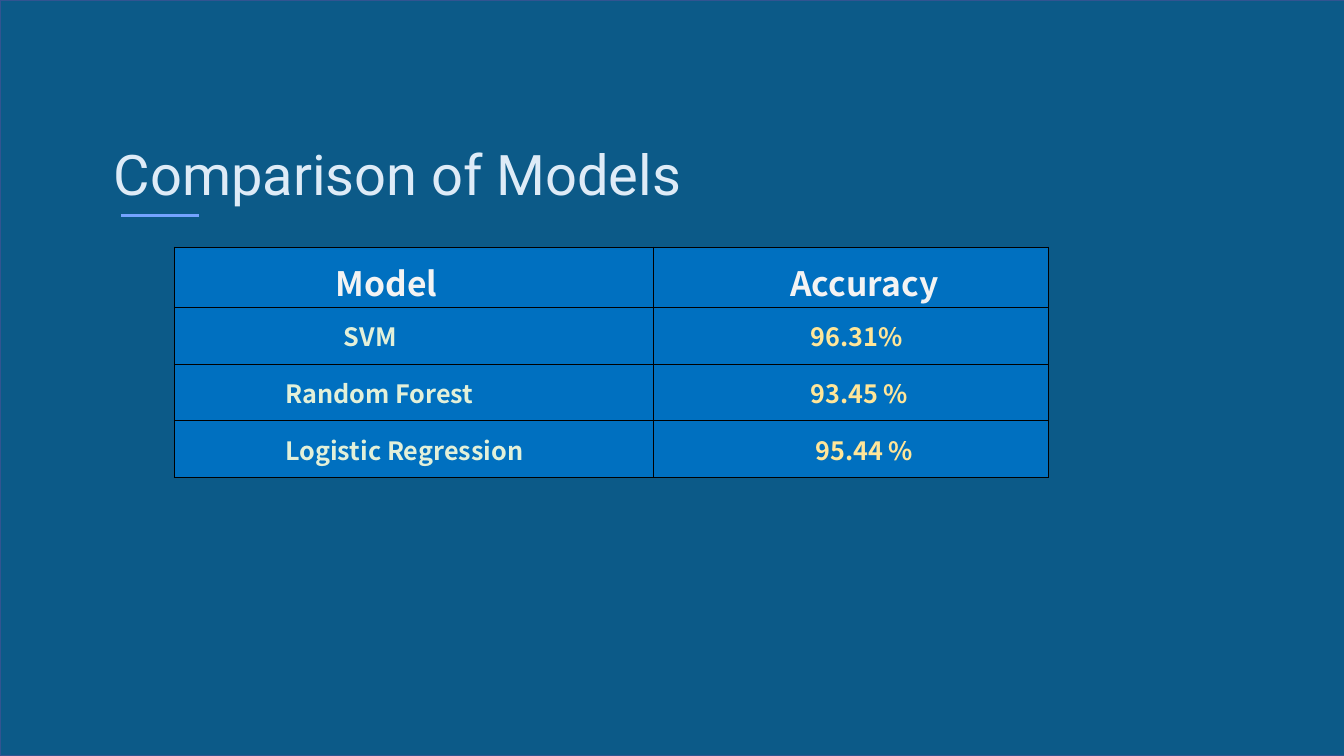
from lxml import etree
from pptx import Presentation
from pptx.dml.color import RGBColor
from pptx.enum.shapes import MSO_CONNECTOR, MSO_SHAPE
from pptx.enum.text import MSO_ANCHOR, MSO_AUTO_SIZE, PP_ALIGN
from pptx.oxml.ns import qn
from pptx.util import Inches, Pt

# Content: each cell is (text, left indent in inches)
TITLE = "Comparison of Models"
ROWS = [
    [("Model", 1.6), ("Accuracy", 1.36)],
    [("SVM", 1.68), ("96.31%", 1.56)],
    [("Random Forest", 1.1), ("93.45 %", 1.56)],
    [("Logistic Regression", 1.1), ("95.44 %", 1.61)],
]
COLUMN_WIDTHS = [4.75, 3.92]
HEADER_HEIGHT, ROW_HEIGHT = 0.6, 0.56
PADDING = 0.1

BACKGROUND = RGBColor(0xF4, 0xF4, 0xF4)
PANEL = RGBColor(0x0C, 0x5A, 0x88)
PANEL_EDGE = RGBColor(0x32, 0x54, 0x91)
TITLE_COLOR = RGBColor(0xDE, 0xEB, 0xF7)
ACCENT = RGBColor(0x74, 0xA3, 0xFF)
CELL_FILL = RGBColor(0x00, 0x70, 0xC0)
HEADER_TEXT = RGBColor(0xF3, 0xF3, 0xF3)
COLUMN_TEXT = [RGBColor(0xE2, 0xF0, 0xD9), RGBColor(0xFF, 0xE6, 0x99)]
BORDER = RGBColor(0x00, 0x00, 0x00)


def style_font(paragraph, name, size, color, bold=False):
    paragraph.alignment = PP_ALIGN.LEFT
    font = paragraph.font
    font.name, font.size, font.bold = name, Pt(size), bold
    font.color.rgb = color


def add_borders(cell):
    properties = cell._tc.get_or_add_tcPr()
    for position, side in enumerate(("lnL", "lnR", "lnT", "lnB")):
        line = etree.Element(qn(f"a:{side}"), w=str(Pt(0.75)))
        fill = etree.SubElement(line, qn("a:solidFill"))
        etree.SubElement(fill, qn("a:srgbClr"), val=str(BORDER))
        properties.insert(position, line)


def fill_cell(cell, text, indent, color, is_header):
    cell.fill.solid()
    cell.fill.fore_color.rgb = CELL_FILL
    cell.margin_left = Inches(indent)
    cell.margin_right = cell.margin_top = Inches(PADDING)
    cell.margin_bottom = Inches(0.01 if is_header else PADDING)
    cell.vertical_anchor = MSO_ANCHOR.TOP
    cell.text = text
    style_font(cell.text_frame.paragraphs[0], "Noto Sans CJK SC",
               24 if is_header else 18, color, bold=True)
    add_borders(cell)


presentation = Presentation()
presentation.slide_width, presentation.slide_height = Inches(13.33), Inches(7.5)
slide = presentation.slides.add_slide(presentation.slide_layouts[5])
slide.background.fill.solid()
slide.background.fill.fore_color.rgb = BACKGROUND

# Background panel
panel = slide.shapes.add_shape(MSO_SHAPE.RECTANGLE, 0, 0, Inches(13.41), Inches(7.5))
panel.shadow.inherit = False
panel.fill.solid()
panel.fill.fore_color.rgb = PANEL
panel.line.color.rgb = PANEL_EDGE
panel.line.width = Pt(1)

# Title, raised above the panel
title = slide.shapes.title
panel.element.addnext(title.element)
title.left, title.top = Inches(1.03), Inches(1.33)
title.width, title.height = Inches(7.79), Inches(0.77)
title.text = TITLE
title.text_frame.word_wrap = True
title.text_frame.auto_size = MSO_AUTO_SIZE.NONE
title.text_frame.vertical_anchor = MSO_ANCHOR.TOP
style_font(title.text_frame.paragraphs[0], "Roboto", 40, TITLE_COLOR)

# Accent line under the title
accent = slide.shapes.add_connector(
    MSO_CONNECTOR.STRAIGHT, Inches(1.2), Inches(2.14), Inches(1.97), Inches(2.14))
accent.line.color.rgb = ACCENT
accent.line.width = Pt(2.25)
etree.SubElement(accent.element.spPr, qn("a:effectLst"))

# Accuracy table
heights = [HEADER_HEIGHT] + [ROW_HEIGHT] * (len(ROWS) - 1)
table = slide.shapes.add_table(
    len(ROWS), len(COLUMN_WIDTHS), Inches(1.73), Inches(2.45),
    Inches(sum(COLUMN_WIDTHS)), Inches(sum(heights))).table
table.first_row = table.horz_banding = False
for column, width in zip(table.columns, COLUMN_WIDTHS):
    column.width = Inches(width)
for row_index, (row, height) in enumerate(zip(ROWS, heights)):
    table.rows[row_index].height = Inches(height)
    is_header = row_index == 0
    for column_index, (text, indent) in enumerate(row):
        color = HEADER_TEXT if is_header else COLUMN_TEXT[column_index]
        fill_cell(table.cell(row_index, column_index), text, indent, color, is_header)

presentation.save("out.pptx")
